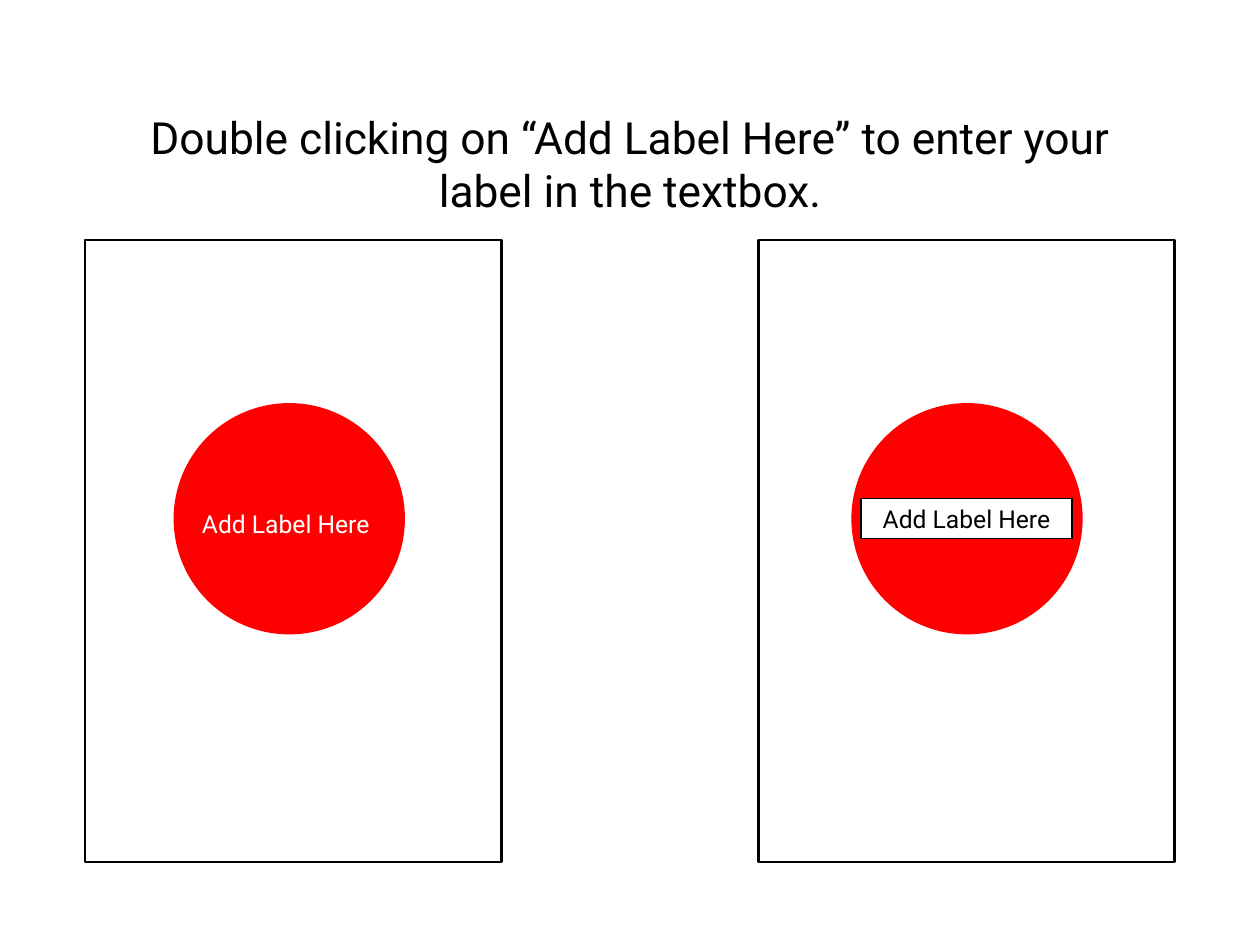
"""Build a slide showing two ways to label a red dot on a card."""
from pptx import Presentation
from pptx.dml import color as c
from pptx.enum import shapes as s, text as t
from pptx.util import Pt

FONT = "Roboto"
BLACK, WHITE, RED = "000000", "FFFFFF", "FF0000"
LABEL = "Add Label Here"
CARD_TOP, CARD_WIDTH, CARD_HEIGHT = 195, 338.4, 505.4
DOT_TOP, DOT_SIZE = 327.6, 188


def rgb(value):
    """Turn a hex string into a colour."""
    return c.RGBColor.from_string(value)


def place(shape, left, top, width, height):
    """Move and size a shape in points."""
    shape.left, shape.top = Pt(left), Pt(top)
    shape.width, shape.height = Pt(width), Pt(height)


def write(shape, words, size=20, color=BLACK):
    """Fill a shape with centred, formatted text."""
    frame = shape.text_frame
    frame.word_wrap = True
    frame.auto_size = t.MSO_AUTO_SIZE.NONE
    frame.vertical_anchor = t.MSO_ANCHOR.MIDDLE
    frame.margin_left = frame.margin_right = Pt(4)
    frame.margin_top = frame.margin_bottom = Pt(4)
    paragraph = frame.paragraphs[0]
    paragraph.alignment = t.PP_ALIGN.CENTER
    run = paragraph.add_run()
    run.text = words
    run.font.name = FONT
    run.font.size = Pt(size)
    run.font.color.rgb = rgb(color)


def add_figure(slide, kind, box, fill=None, line=None, weight=1):
    """Add a preset shape with an optional fill and outline."""
    figure = slide.shapes.add_shape(kind, *map(Pt, box))
    figure.shadow.inherit = False
    if fill:
        figure.fill.solid()
        figure.fill.fore_color.rgb = rgb(fill)
    else:
        figure.fill.background()
    if line:
        figure.line.color.rgb = rgb(line)
        figure.line.width = Pt(weight)
    else:
        figure.line.fill.background()
    return figure


def add_card(slide, card_left, dot_left):
    """Add an outlined card holding a red dot."""
    add_figure(slide, s.MSO_SHAPE.RECTANGLE,
               (card_left, CARD_TOP, CARD_WIDTH, CARD_HEIGHT),
               line=BLACK, weight=2)
    add_figure(slide, s.MSO_SHAPE.OVAL,
               (dot_left, DOT_TOP, DOT_SIZE, DOT_SIZE), fill=RED)


def main():
    """Build and save the slide."""
    deck = Presentation()
    deck.slide_width, deck.slide_height = Pt(1024), Pt(768)
    slide = deck.slides.add_slide(deck.slide_layouts.get_by_name("Title Only"))

    instruction = slide.shapes.title
    place(instruction, 77, 85, 870, 95)
    write(instruction, "Double clicking on “Add Label Here” to enter your "
          "label in the textbox.", size=36)

    add_card(slide, 69.1, 141.1)
    plain_label = slide.shapes.add_textbox(
        Pt(149.8), Pt(409.7), Pt(164.9), Pt(32.4))
    write(plain_label, LABEL, color=WHITE)

    add_card(slide, 616.3, 691.9)
    boxed_label = add_figure(slide, s.MSO_SHAPE.RECTANGLE,
                             (699.8, 405.4, 171.4, 32.4),
                             fill=WHITE, line=BLACK)
    write(boxed_label, LABEL)

    deck.save("out.pptx")


if __name__ == "__main__":
    main()
